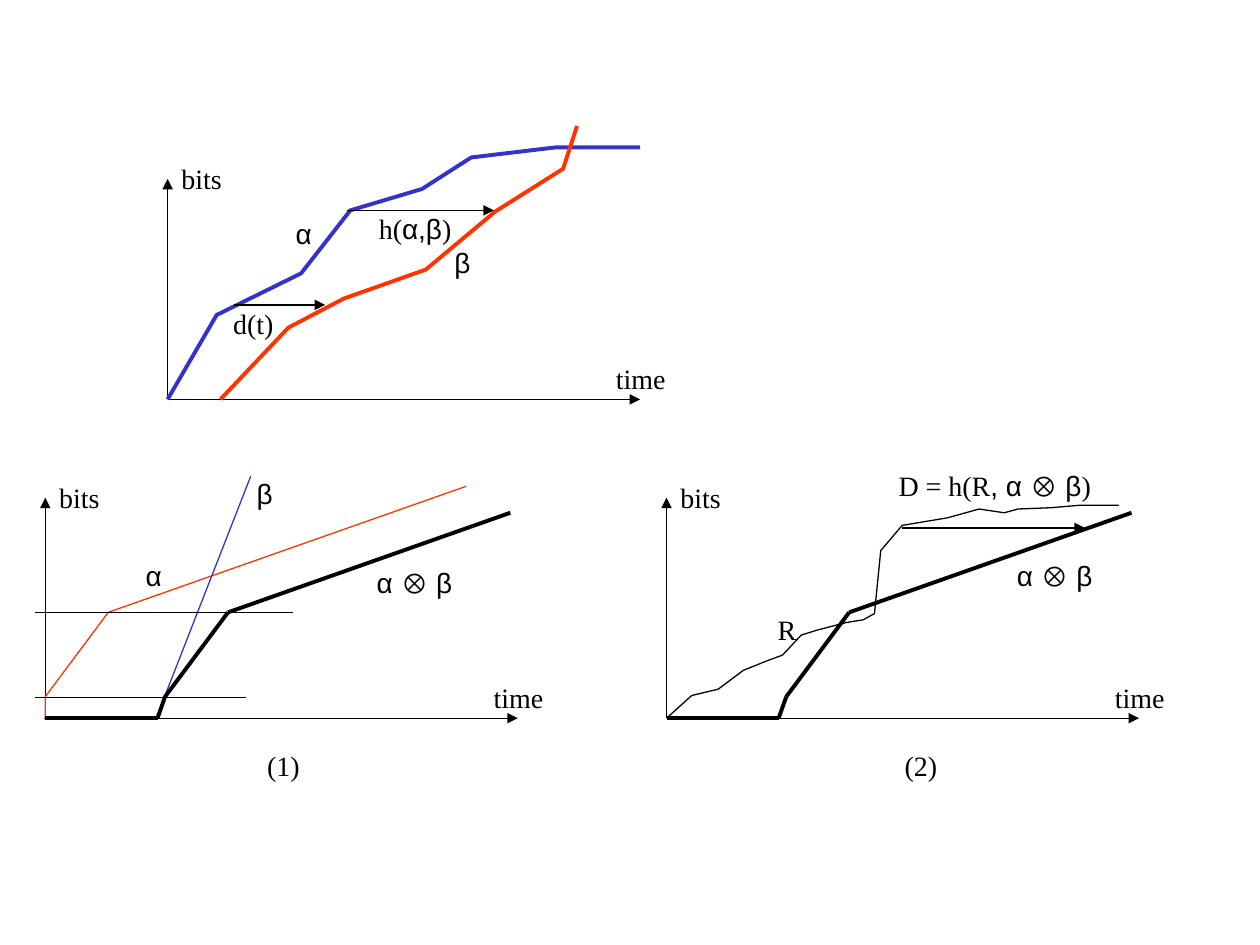
from itertools import pairwise

from lxml.etree import SubElement
from pptx import Presentation
from pptx.dml.color import RGBColor
from pptx.enum.dml import MSO_LINE
from pptx.enum.shapes import MSO_CONNECTOR as Link
from pptx.enum.text import MSO_ANCHOR as Anchor, MSO_AUTO_SIZE as Auto, PP_ALIGN as Align
from pptx.oxml.ns import qn
from pptx.util import Pt

PX = 9144  # 100 px to the inch
BLACK = RGBColor(0x00, 0x00, 0x00)
BLUE = RGBColor(0x33, 0x33, 0xCC)
RED = RGBColor(0xFF, 0x33, 0x00)
SERIF, SANS = "Times New Roman", "Arial"
HAIR, THIN, THICK = 0.25, 0.75, 2.25


class Board:
    """Holds the style and the current slide."""

    size = Pt(16)
    high = 37
    inset = 5 * PX

    def __init__(self, slide):
        self.shapes = slide.shapes

    def line(self, start, stop, width, arrow=None, dots=False):
        link = self.shapes.add_connector(
            Link.STRAIGHT, *(v * PX for v in (*start, *stop)))
        link.line.color.rgb = BLACK
        link.line.width = Pt(width)
        if dots:
            link.line.dash_style = MSO_LINE.ROUND_DOT
        if arrow:
            SubElement(link.line._ln, qn(f"a:{arrow}"), type="triangle")
        SubElement(link._element.spPr, qn("a:effectLst"))

    def curve(self, points, color, width):
        path = self.shapes.build_freeform(*points[0], scale=PX)
        path.add_line_segments(points[1:], close=False)
        shape = path.convert_to_shape()
        shape.fill.background()
        shape.line.color.rgb = color
        shape.line.width = Pt(width)
        shape.shadow.inherit = False

    def label(self, x, y, width, *runs, font=SERIF):
        """Each run is a text, or a pair of text and font."""
        box = self.shapes.add_textbox(x * PX, y * PX, width * PX, self.high * PX)
        frame = box.text_frame
        frame.word_wrap = False
        frame.auto_size = Auto.SHAPE_TO_FIT_TEXT
        frame.vertical_anchor = Anchor.MIDDLE
        frame.margin_left = frame.margin_right = self.inset
        para = frame.paragraphs[0]
        para.alignment = Align.CENTER
        para.font.size = self.size
        para.font.color.rgb = BLACK
        para.font.name = font
        for item in runs:
            text, face = (item, None) if isinstance(item, str) else item
            run = para.add_run()
            run.text = text
            if face:
                run.font.name = face

    def axes(self, x, y):
        self.line((x, y - 175), (x, y), HAIR, "headEnd")
        self.line((x, y), (x + 375, y), HAIR, "tailEnd")
        self.label(x + 346, y - 35, 59, "time")
        self.label(x + 1, y - 194, 52, "bits")

    def bound(self, x, y):
        """The thick combined curve, one line per segment."""
        steps = ((0, 0), (89, 0), (95, -17), (145, -84), (369, -163))
        for start, stop in pairwise((x + dx, y + dy) for dx, dy in steps):
            self.line(start, stop, THICK)


def main():
    deck = Presentation()
    deck.slide_width, deck.slide_height = 1000 * PX, 750 * PX
    board = Board(deck.slides.add_slide(deck.slide_layouts[6]))

    # Top plot: arrival and service curves with their distances
    board.axes(133, 317)
    board.curve([(133, 317), (172, 250), (239, 217), (278, 167), (335, 150),
                 (374, 125), (441, 117), (508, 117)], BLUE, THICK)
    board.curve([(175, 317), (229, 260), (273, 237), (338, 214), (393, 168),
                 (447, 134), (458, 100)], RED, THICK)
    board.label(224, 167, 34, "α", font=SANS)
    board.label(351, 190, 32, "β", font=SANS)
    board.line((275, 167), (392, 167), THIN, "tailEnd")
    board.label(291, 163, 77, "h(", ("α,β", SANS), ")")
    board.line((186, 242), (258, 242), THIN, "tailEnd")
    board.label(175, 238, 52, "d(t)")

    # Plot 1: the two curves and their combination
    board.axes(36, 570)
    board.curve([(36, 570), (36, 553), (86, 486), (370, 386)], RED, THIN)
    board.curve([(35, 570), (124, 570), (199, 378)], BLUE, THIN)
    for y, right in ((553, 195), (486, 232)):
        board.line((28, y), (right, y), HAIR, dots=True)
    board.bound(36, 570)
    board.label(105, 438, 34, "α", font=SANS)
    board.label(194, 373, 32, "β", font=SANS)
    board.label(286, 444, 86, "α ⊗ β", font=SANS)

    # Plot 2: the input flow against the combined curve
    board.axes(529, 570)
    board.label(794, 438, 86, "α ⊗ β", font=SANS)
    board.bound(529, 570)
    board.curve([(529, 570), (549, 552), (570, 547), (590, 532), (610, 524),
                 (621, 520), (636, 504), (649, 500), (672, 494), (685, 492),
                 (694, 487), (699, 437), (716, 417), (752, 411), (777, 404),
                 (797, 407), (808, 404), (834, 403), (857, 401), (888, 401)],
                BLACK, THIN)
    board.line((716, 419), (861, 419), THIN, "tailEnd")
    board.label(698, 367, 183, "D = h(R", (", α ⊗ β", SANS), ")")
    board.label(607, 481, 35, "R")

    # Captions
    for x, text in ((202, "(1)"), (708, "(2)")):
        board.label(x, 589, 46, text)

    deck.save("out.pptx")


if __name__ == "__main__":
    main()
